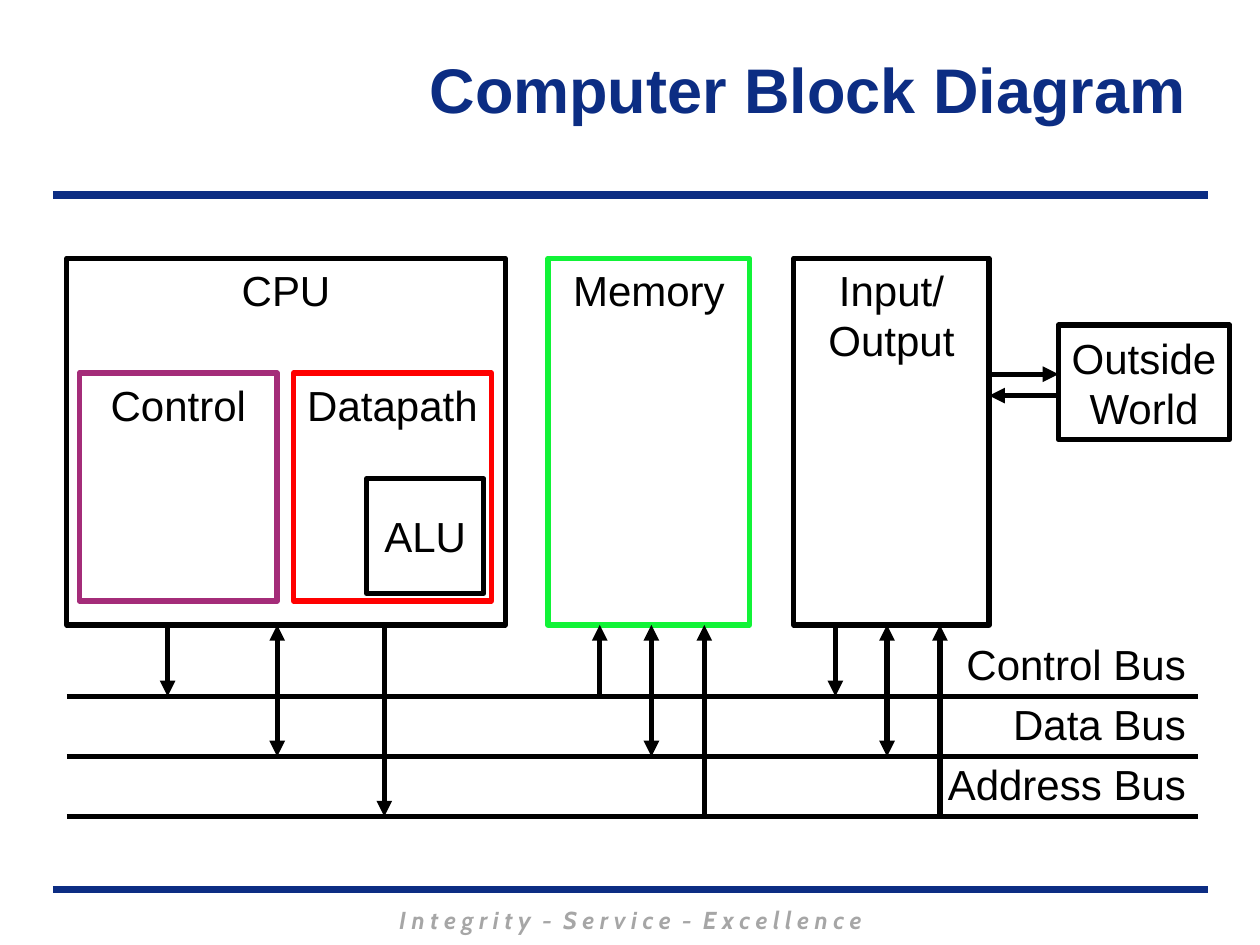
from lxml.etree import SubElement
from pptx import Presentation
from pptx.dml.color import RGBColor
from pptx.enum.shapes import MSO_CONNECTOR, MSO_SHAPE
from pptx.enum.text import MSO_ANCHOR, PP_ALIGN
from pptx.oxml.ns import qn
from pptx.util import Inches, Pt

NAVY = RGBColor(0x0C, 0x2D, 0x83)
BLACK = RGBColor(0, 0, 0)
GREY = RGBColor(0xA6, 0xA6, 0xA6)
PLUM = RGBColor(0xA4, 0x2C, 0x79)
RED = RGBColor(0xFF, 0, 0)
GREEN = RGBColor(0x11, 0xF3, 0x37)

# The slide is a grid of 100 columns by 75 rows; all lengths are in cells.
COLS, ROWS = 100, 75
CELL = Inches(10) // COLS
UNIT = 4.77  # rows from one bus to the next


def cells(*vals):
    return [round(v * CELL) for v in vals]


def within(box, left, top, wide, high):
    """Shift a part's box by the corner of the box around it."""
    return box[0] + left, box[1] + top, wide, high


def write(frame, text, align, size=24, color=BLACK, font="Arial",
          bold=False, italic=False, anchor=MSO_ANCHOR.TOP):
    frame.text = text
    frame.word_wrap = True
    frame.vertical_anchor = anchor
    for para in frame.paragraphs:
        para.alignment = align
        for run in para.runs:
            face = run.font
            face.name, face.size = font, Pt(size)
            face.bold, face.italic = bold, italic
            face.color.rgb = color


def label(slide, box, text, align, **style):
    write(slide.shapes.add_textbox(*cells(*box)).text_frame,
          text, align, **style)


def block(slide, box, text, color=BLACK, anchor=MSO_ANCHOR.TOP):
    rect = slide.shapes.add_shape(MSO_SHAPE.RECTANGLE, *cells(*box))
    rect.shadow.inherit = False
    rect.fill.background()
    rect.line.color.rgb = color
    rect.line.width = Pt(3)
    write(rect.text_frame, text, PP_ALIGN.CENTER, anchor=anchor)


def wire(slide, start, end, ends=(), color=BLACK, width=3):
    """Draw a line; ends names the tips with an arrow, headEnd or tailEnd."""
    line = slide.shapes.add_connector(
        MSO_CONNECTOR.STRAIGHT, *cells(*start, *end))
    line.line.color.rgb = color
    line.line.width = Pt(width)
    for tip in ends:
        SubElement(line.line._get_or_add_ln(), qn("a:" + tip), type="triangle")
    SubElement(line._element.spPr, qn("a:effectLst"))


def frame(slide):
    """Title, the two rules and the motto."""
    title = slide.shapes.title
    title.left, title.top, title.width, title.height = cells(
        20.9, 0.8, 74.2, 12.5)
    write(title.text_frame, "Computer Block Diagram", PP_ALIGN.RIGHT, 36,
          NAVY, bold=True, anchor=MSO_ANCHOR.MIDDLE)
    for row in (15.5, 70.6):
        wire(slide, (4.2, row), (95.9, row), color=NAVY, width=4.5)
    label(slide, (14.2, 71.3, 71.7, 3.4),
          "I n t e g r i t y  -  S e r v i c e  -  E x c e l l e n c e",
          PP_ALIGN.CENTER, size=14, color=GREY, font="Cabin",
          bold=True, italic=True)


def cpu(slide, box):
    block(slide, box, "CPU")
    for left, text, color in ((1, "Control", PLUM), (18, "Datapath", RED)):
        block(slide, within(box, left, 9.1, 15.7, 18.1), text, color)
    block(slide, within(box, 23.8, 17.5, 9.3, 9.1), "ALU",
          anchor=MSO_ANCHOR.MIDDLE)


def world(slide, box, edge):
    """Outside block, with a wire each way to the edge on its left."""
    left, top = box[:2]
    wire(slide, (edge, top + 3.9), (left, top + 3.9), ["tailEnd"])
    wire(slide, (left, top + 5.6), (edge, top + 5.6), ["tailEnd"])
    block(slide, box, "Outside\nWorld", anchor=MSO_ANCHOR.MIDDLE)


def bus(slide, box, text, taps, base):
    """Line along the foot of the box, with taps up to the blocks."""
    left, top, wide, high = box
    foot = top + high
    wire(slide, (left, foot), (left + wide, foot))
    label(slide, (left + wide - 22.1, foot - 5.1, 22.1, 5), text,
          PP_ALIGN.RIGHT)
    for col, ends in taps:
        wire(slide, (col, base), (col, foot), ends)


def main():
    deck = Presentation()
    deck.slide_width, deck.slide_height = CELL * COLS, CELL * ROWS
    slide = deck.slides.add_slide(deck.slide_layouts[5])
    frame(slide)

    top, high = 20.5, 29.1
    base = top + high
    cpu(slide, (5.3, top, 34.8, high))
    block(slide, (43.5, top, 16, high), "Memory", GREEN)
    block(slide, (63, top, 15.5, high), "Input/\nOutput")

    up, down = ["headEnd"], ["tailEnd"]
    both = up + down
    buses = (
        ("Control Bus", ((13.3, down), (47.6, up), (66.3, down))),
        ("Data Bus", ((22, both), (51.7, both), (70.4, both))),
        ("Address Bus", ((30.5, down), (55.9, up), (74.6, up))),
    )
    for row, (text, taps) in enumerate(buses):
        bus(slide, (5.3, 50.5 + row * UNIT, 89.8, UNIT), text, taps, base)
    world(slide, (84, 25.8, 13.6, 9.1), 78.5)
    deck.save("out.pptx")


if __name__ == "__main__":
    main()
